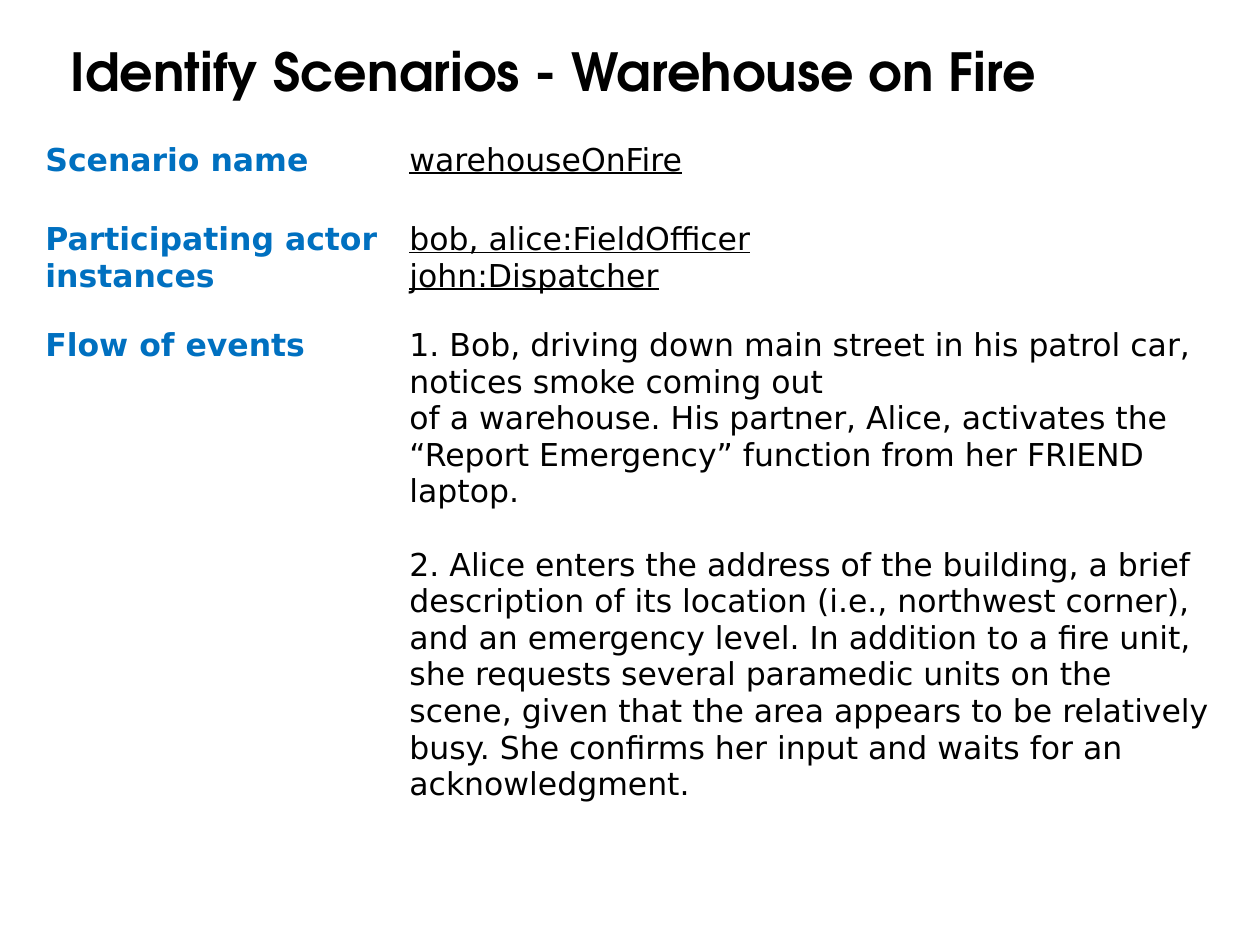
"""Builds the warehouse fire scenario slide: a title over a two-column scenario table."""
from pptx import Presentation
from pptx.dml.color import RGBColor
from pptx.enum.text import MSO_ANCHOR, PP_ALIGN
from pptx.util import Inches, Pt

LEFT, MIDDLE = PP_ALIGN.LEFT, MSO_ANCHOR.MIDDLE
TITLE_ONLY = 5

THEME = {
    "title_font": "TeX Gyre Adventor",
    "body_font": "DejaVu Sans",
    "title_size": 30,
    "body_size": 18,
    "step_gap": 21,
    "text": RGBColor(0, 0, 0),
    "label": RGBColor(0x00, 0x70, 0xC0),
    "paper": RGBColor(0xFF, 0xFF, 0xFF),
}

TITLE = "Identify Scenarios - Warehouse on Fire"
TITLE_BOX = (0.46, 0.12, 8.92, 0.94)
TABLE_ORIGIN = (0.26, 1.08)
COLUMN_WIDTHS = (2.89, 6.57)

SCENARIO = [
    {"height": 0.63, "label": ["Scenario name"],
     "steps": [["warehouseOnFire"]], "underline": True},
    {"height": 0.84, "label": ["Participating actor", "instances"],
     "steps": [["bob, alice:FieldOfficer", "john:Dispatcher"]], "underline": True},
    {"height": 4.3, "label": ["Flow of events"], "underline": False,
     "steps": [
         ["1. Bob, driving down main street in his patrol car, notices smoke coming out",
          "of a warehouse. His partner, Alice, activates the “Report Emergency” function "
          "from her FRIEND laptop."],
         ["2. Alice enters the address of the building, a brief description of its location "
          "(i.e., northwest corner), and an emergency level. In addition to a fire unit,",
          "she requests several paramedic units on the scene, given that the area appears "
          "to be relatively busy. She confirms her input and waits for an",
          "acknowledgment."],
     ]},
]


def style_font(font, name, size, color, bold, underline=False):
    font.name = name
    font.size = Pt(size)
    font.color.rgb = color
    font.bold = bold
    font.underline = underline


def fill_cell(cell, steps, color, bold, underline):
    cell.fill.solid()
    cell.fill.fore_color.rgb = THEME["paper"]
    frame = cell.text_frame
    frame.text = "\n".join(line for step in steps for line in step)
    for paragraph in frame.paragraphs:
        for run in paragraph.runs:
            style_font(run.font, THEME["body_font"], THEME["body_size"], color, bold, underline)
    first_line = 0
    for step in steps[:-1]:
        first_line += len(step)
        frame.paragraphs[first_line].space_before = Pt(THEME["step_gap"])


def add_title(slide):
    title = slide.shapes.title
    title.left, title.top, title.width, title.height = map(Inches, TITLE_BOX)
    frame = title.text_frame
    frame.text = TITLE
    frame.vertical_anchor = MIDDLE
    heading = frame.paragraphs[0]
    heading.alignment = LEFT
    heading.line_spacing = 0.9
    style_font(heading.runs[0].font, THEME["title_font"], THEME["title_size"], THEME["text"], True)


def add_scenario(slide):
    size = (sum(COLUMN_WIDTHS), sum(entry["height"] for entry in SCENARIO))
    table = slide.shapes.add_table(
        len(SCENARIO), len(COLUMN_WIDTHS), *map(Inches, TABLE_ORIGIN + size)).table
    for column, width in zip(table.columns, COLUMN_WIDTHS):
        column.width = Inches(width)
    for row, entry in zip(table.rows, SCENARIO):
        row.height = Inches(entry["height"])
        label, detail = row.cells
        fill_cell(label, [entry["label"]], THEME["label"], True, False)
        fill_cell(detail, entry["steps"], THEME["text"], False, entry["underline"])


def main():
    deck = Presentation()
    deck.slide_width, deck.slide_height = Inches(10), Inches(7.5)
    slide = deck.slides.add_slide(deck.slide_layouts[TITLE_ONLY])
    add_title(slide)
    add_scenario(slide)
    deck.save("out.pptx")


if __name__ == "__main__":
    main()
